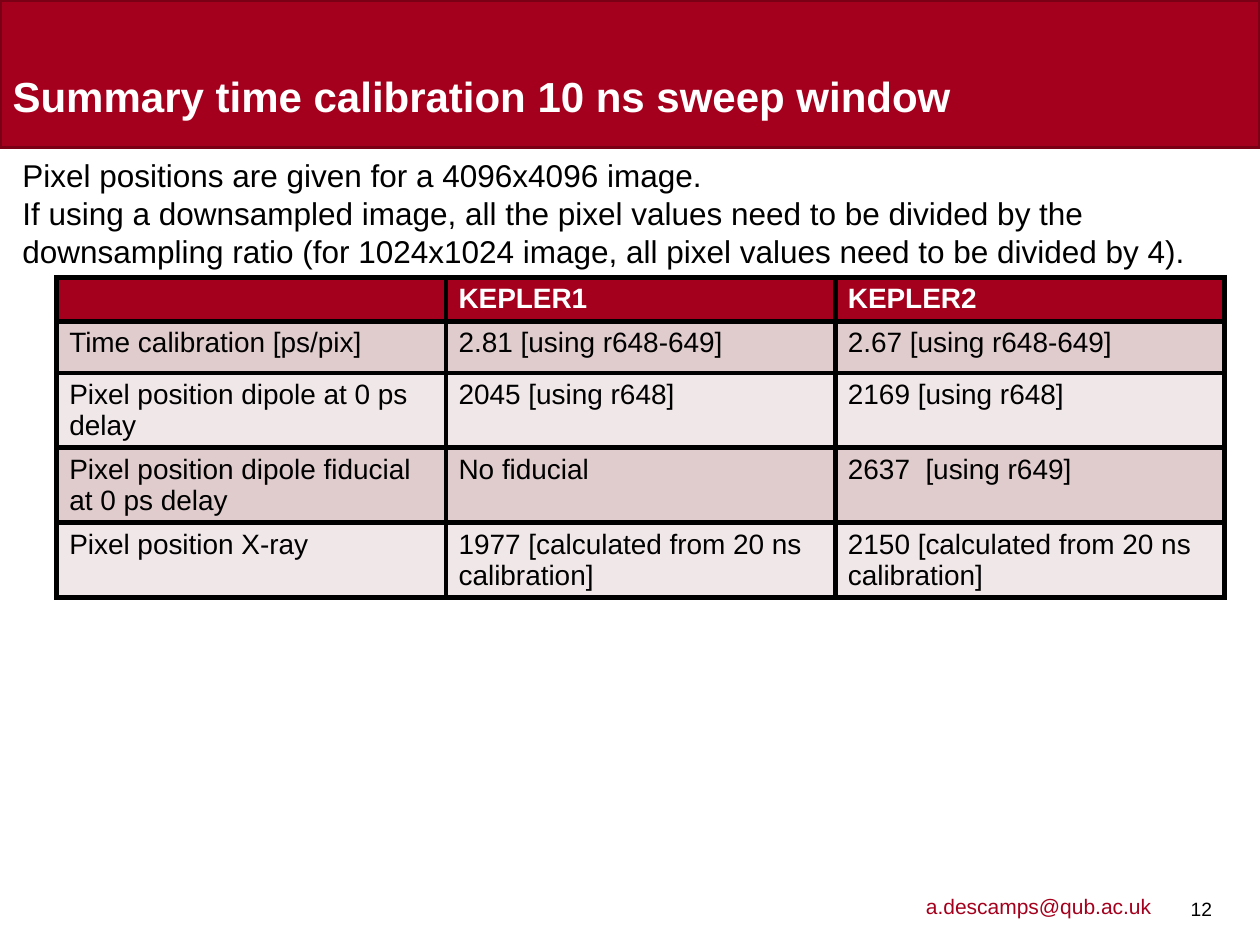
"""Build the time calibration summary slide."""
from dataclasses import dataclass

from lxml import etree
from pptx import Presentation
from pptx import util as u
from pptx.dml.color import RGBColor
from pptx.enum import shapes, text
from pptx.oxml import ns

PX = 9144
COLORS = {
    "red": "A4001D",
    "dark_red": "790015",
    "white": "FFFFFF",
    "black": "000000",
    "odd_row": "E0CCCD",
    "even_row": "F0E7E8",
}


@dataclass(frozen=True)
class Box:
    left: int
    top: int
    width: int
    height: int

    def emu(self) -> list[int]:
        return [v * PX for v in (self.left, self.top, self.width, self.height)]


@dataclass(frozen=True)
class Style:
    size: int
    color: str = "black"
    bold: bool = False


@dataclass(frozen=True)
class Label:
    box: Box
    content: str
    style: Style
    insets: tuple[int, int, int, int] = (10, 5, 10, 5)
    anchor: text.MSO_ANCHOR = text.MSO_ANCHOR.TOP


@dataclass(frozen=True)
class Row:
    height: int
    fill: str
    cells: tuple[str, str, str]
    style: Style = Style(16)


TITLE = Label(Box(10, 14, 980, 82), "Summary time calibration 10 ns sweep window",
              Style(24, "white", True), (0, 0, 0, 0), text.MSO_ANCHOR.BOTTOM)
EMAIL = Label(Box(725, 704, 211, 30), "a.descamps@qub.ac.uk", Style(12, "red"))
PAGE_NUMBER = Label(Box(937, 691, 35, 59), "12", Style(11),
                    (8, 6, 8, 5), text.MSO_ANCHOR.MIDDLE)
EXPLANATION = Label(
    Box(8, 119, 982, 101),
    "Pixel positions are given for a 4096x4096 image.\n"
    "If using a downsampled image, all the pixel values need to be divided by the "
    "downsampling ratio (for 1024x1024 image, all pixel values need to be divided by 4).",
    Style(18))
BANNER = Box(0, 0, 1000, 117)
CALIBRATION = Box(45, 220, 927, 253)
ROWS = (
    Row(35, "red", ("", "KEPLER1", "KEPLER2"), Style(16, "white", True)),
    Row(41, "odd_row", ("Time calibration [ps/pix]",
                        "2.81 [using r648-649]", "2.67 [using r648-649]")),
    Row(59, "even_row", ("Pixel position dipole at 0 ps delay",
                         "2045 [using r648]", "2169 [using r648]")),
    Row(59, "odd_row", ("Pixel position dipole fiducial at 0 ps delay",
                        "No fiducial", "2637  [using r649]")),
    Row(59, "even_row", ("Pixel position X-ray",
                         "1977 [calculated from 20 ns calibration]",
                         "2150 [calculated from 20 ns calibration]")),
)


def rgb(name: str) -> RGBColor:
    return RGBColor.from_string(COLORS[name])


def write(frame, content: str, style: Style) -> None:
    frame.text = content
    for paragraph in frame.paragraphs:
        paragraph.alignment = text.PP_ALIGN.LEFT
        font = paragraph.font
        font.name = "Arial"
        font.size = u.Pt(style.size)
        font.bold = style.bold
        font.color.rgb = rgb(style.color)


def fill_label(holder, label: Label) -> None:
    holder.left, holder.top, holder.width, holder.height = label.box.emu()
    frame = holder.text_frame
    frame.word_wrap = True
    frame.vertical_anchor = label.anchor
    (frame.margin_left, frame.margin_top,
     frame.margin_right, frame.margin_bottom) = (v * PX for v in label.insets)
    write(frame, label.content, label.style)


def add_label(slide, label: Label) -> None:
    fill_label(slide.shapes.add_textbox(*label.box.emu()), label)


def add_banner(slide) -> None:
    banner = slide.shapes.add_shape(shapes.MSO_SHAPE.RECTANGLE, *BANNER.emu())
    banner.shadow.inherit = False
    banner.fill.solid()
    banner.fill.fore_color.rgb = rgb("red")
    banner.line.color.rgb = rgb("dark_red")
    banner.line.width = u.Pt(2)


def add_borders(cell) -> None:
    properties = cell._tc.get_or_add_tcPr()
    for position, side in enumerate(("lnL", "lnR", "lnT", "lnB")):
        border = etree.Element(ns.qn(f"a:{side}"), w=str(u.Pt(3)))
        solid = etree.SubElement(border, ns.qn("a:solidFill"))
        etree.SubElement(solid, ns.qn("a:srgbClr"), val=COLORS["black"])
        properties.insert(position, border)


def add_calibration(slide) -> None:
    columns = len(ROWS[0].cells)
    calibration = slide.shapes.add_table(len(ROWS), columns, *CALIBRATION.emu()).table
    calibration.horz_banding = False
    for column in calibration.columns:
        column.width = CALIBRATION.width // columns * PX
    for row_index, row in enumerate(ROWS):
        calibration.rows[row_index].height = row.height * PX
        for column_index, content in enumerate(row.cells):
            cell = calibration.cell(row_index, column_index)
            cell.fill.solid()
            cell.fill.fore_color.rgb = rgb(row.fill)
            write(cell.text_frame, content, row.style)
            add_borders(cell)


def main() -> None:
    deck = Presentation()
    deck.slide_width, deck.slide_height = 1000 * PX, 750 * PX
    slide = deck.slides.add_slide(deck.slide_layouts[5])
    add_banner(slide)
    add_label(slide, EMAIL)
    add_label(slide, PAGE_NUMBER)
    title = slide.shapes.title
    slide.shapes._spTree.append(title._element)
    fill_label(title, TITLE)
    add_calibration(slide)
    add_label(slide, EXPLANATION)
    deck.save("out.pptx")


if __name__ == "__main__":
    main()
